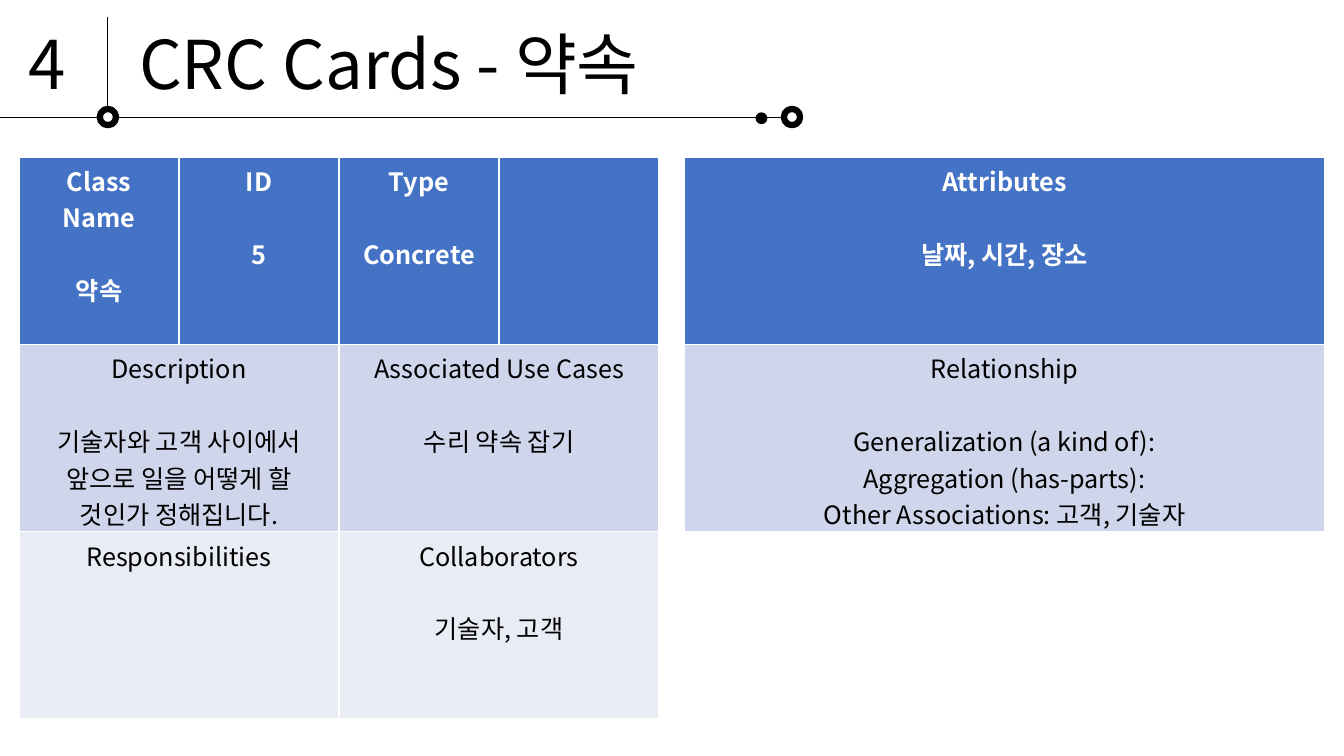
from dataclasses import dataclass

from lxml import etree
from pptx import Presentation
from pptx.dml.color import RGBColor
from pptx.enum import shapes, text
from pptx.oxml import ns
from pptx.util import Cm, Pt

FACE = "Noto Sans CJK KR"
BLACK = RGBColor(0x00, 0x00, 0x00)
WHITE = RGBColor(0xFF, 0xFF, 0xFF)
BLUE = RGBColor(0x44, 0x72, 0xC4)
MIST = RGBColor(0xCF, 0xD5, 0xEA)
PALE = RGBColor(0xE9, 0xEB, 0xF5)
FILLS = (BLUE, MIST, PALE)

ROW = 4.72
TOP = 3.96
WIDE = 16.13


@dataclass
class Rule:
    x1: float
    y1: float
    x2: float
    y2: float


@dataclass
class Dot:
    x: float
    y: float
    size: float
    fill: RGBColor
    edge: float = 0


@dataclass
class Entry:
    row: int
    col: int
    head: str
    body: tuple[str, ...] = ()
    span: int = 1


@dataclass
class Card:
    left: float
    cols: int
    rows: int
    cells: list[Entry]


RULES = [Rule(0, 2.95, 20.14, 2.95), Rule(2.7, 0.43, 2.7, 2.74)]
DOTS = [
    Dot(19.19, 2.98, 0.3, BLACK),
    Dot(19.96, 2.95, 0.41, WHITE, 4.5),
    Dot(2.72, 2.95, 0.41, WHITE, 4.5),
]
CARDS = [
    Card(0.48, 4, 3, [
        Entry(0, 0, "Class Name", ("약속",)),
        Entry(0, 1, "ID", ("5",)),
        Entry(0, 2, "Type", ("Concrete",)),
        Entry(1, 0, "Description",
              ("기술자와 고객 사이에서 앞으로 일을 어떻게 할 것인가 정해집니다.",), 2),
        Entry(1, 2, "Associated Use Cases", ("수리 약속 잡기",), 2),
        Entry(2, 0, "Responsibilities", span=2),
        Entry(2, 2, "Collaborators", ("기술자, 고객",), 2),
    ]),
    Card(17.25, 1, 2, [
        Entry(0, 0, "Attributes", ("날짜, 시간, 장소",)),
        Entry(1, 0, "Relationship", (
            "Generalization (a kind of):",
            "Aggregation (has-parts):",
            "Other Associations: 고객, 기술자",
        )),
    ]),
]


def assign(obj, form: dict) -> None:
    for key, val in form.items():
        setattr(obj, key, val)


def write(para, words: str, size: float, color: RGBColor, bold: bool) -> None:
    run = para.add_run()
    run.text = words
    assign(run.font, {"name": FACE, "size": Pt(size), "bold": bold})
    run.font.color.rgb = color
    east = etree.SubElement(run.font._element, ns.qn("a:ea"))
    east.set("typeface", FACE)


def draw_rule(slide, rule: Rule) -> None:
    line = slide.shapes.add_connector(
        shapes.MSO_CONNECTOR.STRAIGHT,
        Cm(rule.x1), Cm(rule.y1), Cm(rule.x2), Cm(rule.y2))
    line.line.color.rgb = BLACK
    line.line.width = Pt(0.5)
    etree.SubElement(line._element.spPr, ns.qn("a:effectLst"))


def draw_dot(slide, dot: Dot) -> None:
    half = dot.size / 2
    oval = slide.shapes.add_shape(
        shapes.MSO_SHAPE.OVAL,
        Cm(dot.x - half), Cm(dot.y - half), Cm(dot.size), Cm(dot.size))
    oval.shadow.inherit = False
    oval.fill.solid()
    oval.fill.fore_color.rgb = dot.fill
    if dot.edge:
        oval.line.color.rgb = BLACK
        oval.line.width = Pt(dot.edge)
    else:
        oval.line.fill.background()


def draw_head(box, words: str, left: float, width: float) -> None:
    """Place and fill one of the large texts above the rule."""
    assign(box, {"left": Cm(left), "top": Cm(0.43),
                 "width": Cm(width), "height": Cm(2.31)})
    assign(box.text_frame, {
        "word_wrap": False,
        "auto_size": text.MSO_AUTO_SIZE.SHAPE_TO_FIT_TEXT,
        "vertical_anchor": text.MSO_ANCHOR.MIDDLE,
    })
    para = box.text_frame.paragraphs[0]
    assign(para, {"alignment": text.PP_ALIGN.LEFT, "line_spacing": 1.0,
                  "space_before": Pt(0)})
    write(para, words, 48, BLACK, False)


def fill_cell(grid, entry: Entry) -> None:
    cell = grid.cell(entry.row, entry.col)
    if entry.span > 1:
        cell.merge(grid.cell(entry.row, entry.col + entry.span - 1))
    top = entry.row == 0
    frame = cell.text_frame
    for num, words in enumerate((entry.head, *entry.body)):
        para = frame.add_paragraph() if num else frame.paragraphs[0]
        assign(para, {"alignment": text.PP_ALIGN.CENTER,
                      "space_before": Pt(26 if num == 1 else 0)})
        write(para, words, 18, WHITE if top else BLACK, top)


def draw_card(slide, card: Card) -> None:
    grid = slide.shapes.add_table(
        card.rows, card.cols, Cm(card.left), Cm(TOP),
        Cm(WIDE), Cm(ROW * card.rows)).table
    for col in grid.columns:
        col.width = Cm(WIDE / card.cols)
    for row, color in zip(grid.rows, FILLS):
        row.height = Cm(ROW)
        for cell in row.cells:
            cell.fill.solid()
            cell.fill.fore_color.rgb = color
    for entry in card.cells:
        fill_cell(grid, entry)


def main() -> None:
    deck = Presentation()
    assign(deck, {"slide_width": Cm(33.87), "slide_height": Cm(19.05)})
    slide = deck.slides.add_slide(deck.slide_layouts[5])
    for rule in RULES:
        draw_rule(slide, rule)
    for dot in DOTS:
        draw_dot(slide, dot)
    draw_head(slide.shapes.title, "CRC Cards - 약속", 3.25, 13.94)
    number = slide.shapes.add_textbox(0, 0, 0, 0)
    draw_head(number, "4", 0.48, 1.45)
    for card in CARDS:
        draw_card(slide, card)
    deck.save("out.pptx")


if __name__ == "__main__":
    main()
